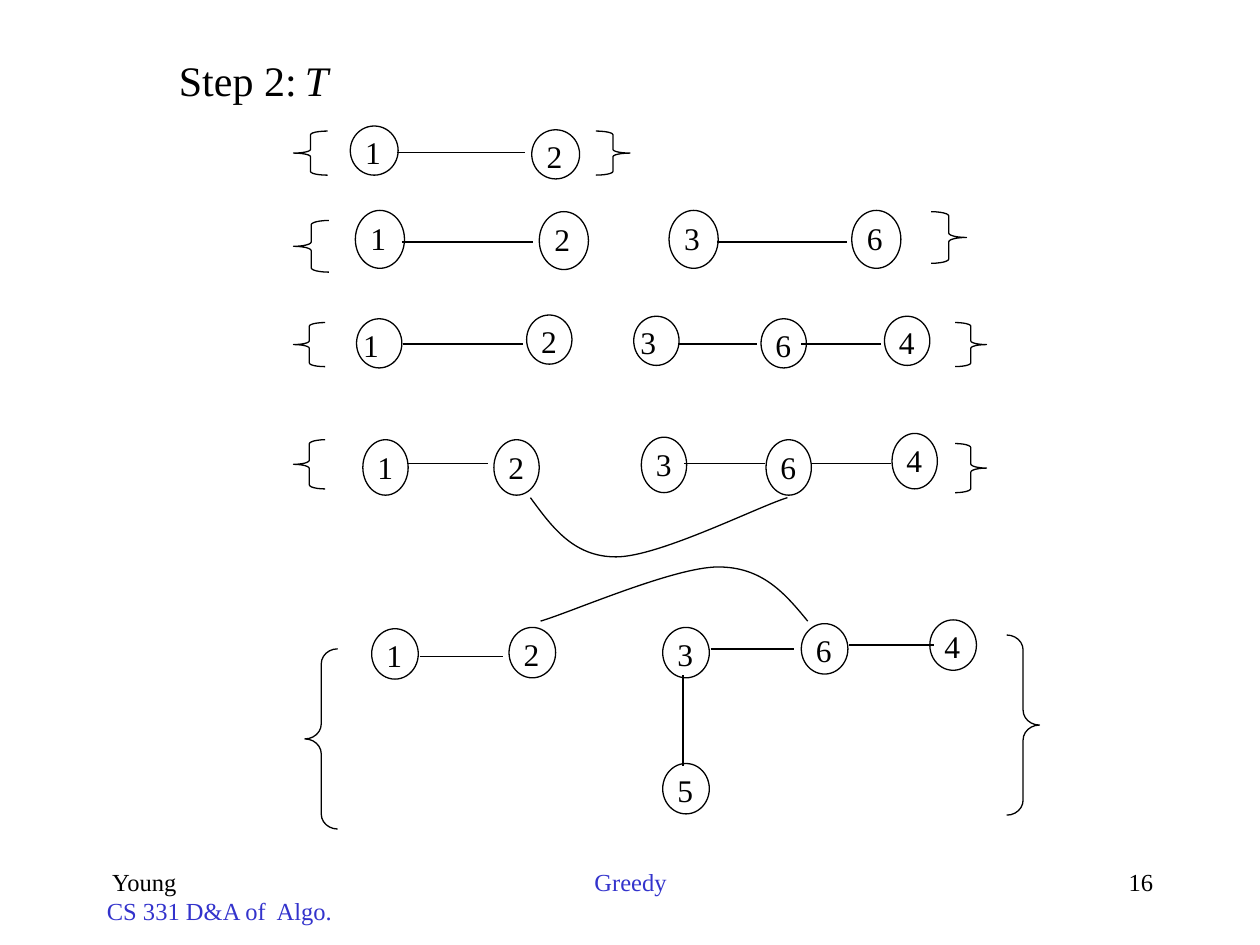
from lxml import etree
from pptx import Presentation
from pptx.dml.color import RGBColor
from pptx.enum.shapes import MSO_CONNECTOR, MSO_SHAPE
from pptx.enum.text import MSO_ANCHOR, PP_ALIGN
from pptx.oxml.ns import qn
from pptx.util import Inches, Pt

OVAL, LEFT_BRACE, RIGHT_BRACE = MSO_SHAPE.OVAL, MSO_SHAPE.LEFT_BRACE, MSO_SHAPE.RIGHT_BRACE
STRAIGHT = MSO_CONNECTOR.STRAIGHT
LEFT, CENTER, RIGHT = PP_ALIGN.LEFT, PP_ALIGN.CENTER, PP_ALIGN.RIGHT
TOP = MSO_ANCHOR.TOP

THEME = {
    "font": "Times New Roman",
    "ink": RGBColor(0x00, 0x00, 0x00),
    "paper": RGBColor(0xFF, 0xFF, 0xFF),
    "accent": RGBColor(0x33, 0x33, 0xCC),
    "title": Pt(24), "node": Pt(18), "footer": Pt(14), "line": Pt(0.75),
}

TITLE_BOX = (0.32, 0.38, 9.35, 0.5)
TITLE = [("\tStep 2:\t", False), ("T", True)]
FOOTERS = [
    ((0.75, 6.83, 2.08, 0.5), LEFT, [(" Young", "ink"), ("CS 331 D&A of  Algo.", "accent")]),
    ((3.42, 6.83, 3.17, 0.5), CENTER, [("Greedy", "accent")]),
    ((7.17, 6.83, 2.08, 0.5), RIGHT, [("16", "ink")]),
]

STEPS = [
    {"node_size": (0.38, 0.39),
     "nodes": [(" 1", 2.78, 1.0), (" 2", 4.22, 1.03)],
     "edges": [(3.15, 1.21, 4.17, 1.21)],
     "brace_size": (0.27, 0.35), "braces": [(2.33, 1.04), (4.73, 1.04)]},
    {"node_size": (0.39, 0.46),
     "nodes": [(" 1", 2.82, 1.67), (" 2", 4.28, 1.68), (" 3", 5.31, 1.67), (" 6", 6.76, 1.67)],
     "edges": [(3.19, 1.92, 4.23, 1.92), (5.69, 1.92, 6.72, 1.92)],
     "brace_size": (0.28, 0.41), "braces": [(2.33, 1.75), (7.39, 1.68)]},
    {"node_size": (0.36, 0.39),
     "nodes": [("1", 2.83, 2.53), (" 2", 4.18, 2.5), ("3", 5.03, 2.51),
               (" 6", 6.04, 2.53), (" 4", 7.02, 2.51)],
     "edges": [(3.2, 2.73, 4.15, 2.73), (5.38, 2.73, 6.01, 2.73), (6.36, 2.73, 6.99, 2.73)],
     "brace_size": (0.25, 0.35), "braces": [(2.33, 2.56), (7.58, 2.56)]},
    {"node_size": (0.36, 0.44),
     "nodes": [(" 1", 2.88, 3.49), (" 2", 3.92, 3.49), (" 3", 5.09, 3.47),
               (" 6", 6.08, 3.49), (" 4", 7.08, 3.44)],
     "edges": [(3.23, 3.68, 3.87, 3.68), (5.43, 3.68, 6.07, 3.68), (6.44, 3.68, 7.07, 3.68)],
     "brace_size": (0.25, 0.39), "braces": [(2.33, 3.49), (7.58, 3.52)],
     "curve": [(4.21, 3.95), (4.38, 4.18), (4.55, 4.42), (4.89, 4.42),
               (5.23, 4.42), (6.02, 4.02), (6.25, 3.95)]},
    {"node_size": (0.37, 0.4),
     "nodes": [(" 1", 2.95, 4.99), (" 2", 4.04, 4.98), (" 3", 5.26, 4.98),
               (" 6", 6.36, 4.95), (" 4", 7.38, 4.92), (" 5", 5.26, 6.06)],
     "edges": [(3.33, 5.21, 3.99, 5.21), (5.64, 5.15, 6.3, 5.15),
               (6.74, 5.12, 7.41, 5.12), (5.42, 5.36, 5.42, 6.08)],
     "brace_size": (0.26, 1.43), "braces": [(2.42, 5.15), (7.99, 5.04)],
     "curve": [(6.41, 4.93), (6.23, 4.71), (6.05, 4.5), (5.7, 4.5),
               (5.35, 4.5), (4.53, 4.86), (4.29, 4.93)]},
]


def inches(values):
    return [Inches(v) for v in values]


def add_run(p, text, size, color="ink", italic=False):
    r = p.add_run()
    r.text = text
    formats = {"name": THEME["font"], "size": THEME[size], "italic": italic}
    for name, value in formats.items():
        setattr(r.font, name, value)
    r.font.color.rgb = THEME[color]


def set_frame(tf, margins=(0.1, 0.05, 0.1, 0.05)):
    sides = ("margin_left", "margin_top", "margin_right", "margin_bottom")
    formats = dict(zip(sides, inches(margins)), word_wrap=True, vertical_anchor=TOP)
    for name, value in formats.items():
        setattr(tf, name, value)


def set_outline(shape, filled=False):
    shape.shadow.inherit = False
    shape.line.color.rgb = THEME["ink"]
    shape.line.width = THEME["line"]
    if filled:
        shape.fill.solid()
        shape.fill.fore_color.rgb = THEME["paper"]
    else:
        shape.fill.background()


def add_title(s):
    title = s.shapes.title
    title.left, title.top, title.width, title.height = inches(TITLE_BOX)
    set_frame(title.text_frame)
    p = title.text_frame.paragraphs[0]
    p.alignment = LEFT
    tabs = etree.SubElement(p._p.get_or_add_pPr(), qn("a:tabLst"))
    for stop in range(8):
        etree.SubElement(tabs, qn("a:tab"), pos=str(Inches(stop)), algn="l")
    for text, italic in TITLE:
        add_run(p, text, "title", italic=italic)


def add_footer(s, box, alignment, lines):
    tf = s.shapes.add_textbox(*inches(box)).text_frame
    set_frame(tf)
    for i, (text, color) in enumerate(lines):
        p = tf.add_paragraph() if i else tf.paragraphs[0]
        p.alignment = alignment
        add_run(p, text, "footer", color)


def add_node(shapes, label, x, y, size):
    node = shapes.add_shape(OVAL, *inches((x, y, *size)))
    set_outline(node, filled=True)
    set_frame(node.text_frame, (0, 0, 0, 0))
    p = node.text_frame.paragraphs[0]
    p.alignment = LEFT
    add_run(p, label, "node")


def add_edge(shapes, ends):
    edge = shapes.add_connector(STRAIGHT, *inches(ends))
    edge.line.color.rgb = THEME["ink"]
    edge.line.width = THEME["line"]
    etree.SubElement(edge._element.spPr, qn("a:effectLst"))


def add_brace(shapes, kind, x, y, size):
    width, height = size
    brace = shapes.add_shape(kind, *inches((x, y, width, height)))
    brace.adjustments[0] = height / 12 / min(size)
    set_outline(brace)


def add_curve(shapes, points):
    start, *rest = [inches(point) for point in points]
    builder = shapes.build_freeform(*start)
    builder.add_line_segments(rest, close=False)
    curve = builder.convert_to_shape()
    segments = list(curve._element.iter(qn("a:lnTo")))
    for i in range(0, len(segments), 3):
        bezier = etree.SubElement(segments[i].getparent(), qn("a:cubicBezTo"))
        for segment in segments[i:i + 3]:
            bezier.append(segment[0])
            segment.getparent().remove(segment)
    set_outline(curve)


def add_step(s, step):
    shapes = s.shapes.add_group_shape().shapes
    for label, x, y in step["nodes"]:
        add_node(shapes, label, x, y, step["node_size"])
    for ends in step["edges"]:
        add_edge(shapes, ends)
    for kind, (x, y) in zip((LEFT_BRACE, RIGHT_BRACE), step["braces"]):
        add_brace(shapes, kind, x, y, step["brace_size"])
    if "curve" in step:
        add_curve(shapes, step["curve"])


def main():
    prs = Presentation()
    prs.slide_width, prs.slide_height = Inches(10), Inches(7.5)
    s = prs.slides.add_slide(prs.slide_layouts[5])
    add_title(s)
    for footer in FOOTERS:
        add_footer(s, *footer)
    for step in STEPS:
        add_step(s, step)
    prs.save("out.pptx")


if __name__ == "__main__":
    main()
